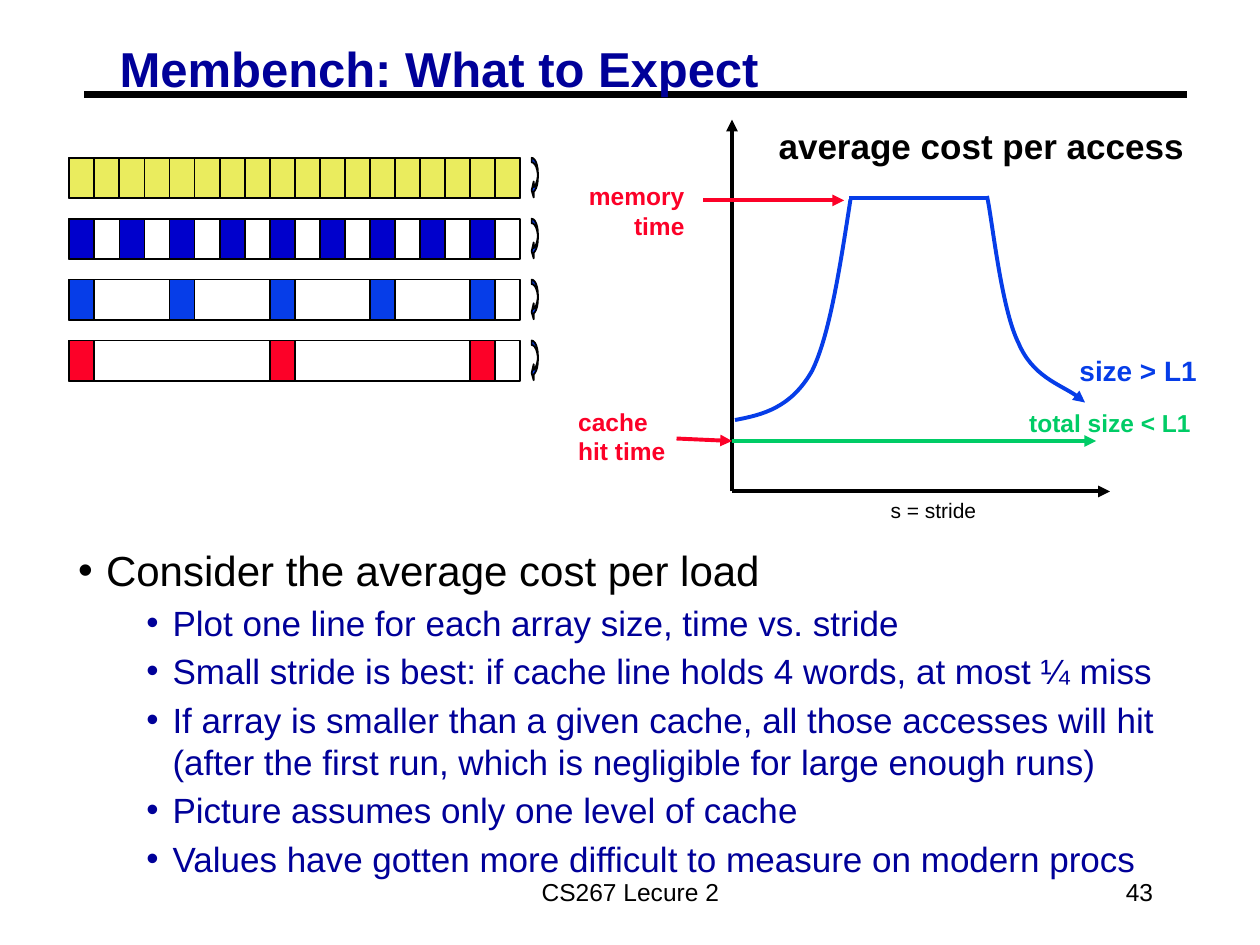
from lxml import etree
from pptx import Presentation
from pptx import util as u
from pptx.dml.color import RGBColor
from pptx.enum import shapes, text
from pptx.oxml import ns, xmlchemy

Pt = u.Pt
Kind = shapes.MSO_SHAPE
Align = text.PP_ALIGN


class Theme:
    font = "Arial"
    black, navy, blue = "000000", "000099", "063DE8"
    deep, red, green, yellow = "0000CC", "FC0128", "00CC66", "EAEC5E"
    title, head, body, size, label, axis = 28, 24, 20, 16, 14, 12
    thin, line, rule = 1, 2.25, 3.75


POINTS = [
    "Plot one line for each array size, time vs. stride",
    "Small stride is best: if cache line holds 4 words, at most ¼ miss",
    "If array is smaller than a given cache, all those accesses will hit "
    "(after the first run, which is negligible for large enough runs)",
    "Picture assumes only one level of cache",
    "Values have gotten more difficult to measure on modern procs",
]


def rgb(hue):
    return RGBColor.from_string(hue)


def node(tag, **attrs):
    item = xmlchemy.OxmlElement(tag)
    for key, value in attrs.items():
        item.set(key, str(value))
    return item


def add_run(para, words, size, hue, bold=False):
    run = para.add_run()
    run.text = words
    font = run.font
    font.name, font.size, font.bold = Theme.font, Pt(size), bold
    font.color.rgb = rgb(hue)


def add_box(slide, place, pad=(7.2, 3.6), wrap=True):
    frame = slide.shapes.add_textbox(*map(Pt, place)).text_frame
    frame.word_wrap = wrap
    frame.margin_left = frame.margin_right = Pt(pad[0])
    frame.margin_top = frame.margin_bottom = Pt(pad[1])
    return frame


def add_label(slide, lines, place, size, hue, bold=True, align=Align.LEFT,
              wrap=False, middle=False):
    frame = add_box(slide, place, wrap=wrap)
    if middle:
        frame.vertical_anchor = text.MSO_ANCHOR.MIDDLE
    for i, words in enumerate(lines):
        para = frame.paragraphs[0] if i == 0 else frame.add_paragraph()
        para.alignment = align
        add_run(para, words, size, hue, bold)


def add_point(frame, words, size, hue, left, hang, gap, level=0):
    para = frame.add_paragraph() if gap else frame.paragraphs[0]
    para.level = level
    props = para._p.get_or_add_pPr()
    props.set("marL", str(Pt(left)))
    props.set("indent", str(Pt(-hang)))
    tint = node("a:buClr")
    tint.append(node("a:srgbClr", val=hue))
    props.append(tint)
    props.append(node("a:buFont", typeface=Theme.font))
    props.append(node("a:buChar", char="•"))
    para.space_before = Pt(gap)
    add_run(para, words, size, hue)


def style_line(shape, hue, width, arrow=False):
    shape.line.color.rgb = rgb(hue)
    shape.line.width = Pt(width)
    if arrow:
        shape.line._get_or_add_ln().append(node("a:tailEnd", type="triangle"))


def add_line(slide, start, end, hue, width=Theme.line, arrow=True):
    wire = slide.shapes.add_connector(
        shapes.MSO_CONNECTOR.STRAIGHT, *map(Pt, start + end))
    style_line(wire, hue, width, arrow)
    wire._element.spPr.append(node("a:effectLst"))


def add_shape(slide, kind, place, fill=None):
    shape = slide.shapes.add_shape(kind, *map(Pt, place))
    shape.shadow.inherit = False
    if fill:
        shape.fill.solid()
        shape.fill.fore_color.rgb = rgb(fill)
    else:
        shape.fill.background()
    style_line(shape, Theme.black, Theme.thin)
    return shape


def add_curve(slide, start, knots, arrow=False):
    """Draw cubic curves; knots holds two controls and an end for each."""
    maker = slide.shapes.build_freeform(*start, scale=Pt(1))
    maker.add_line_segments(knots, close=False)
    shape = maker.convert_to_shape()
    shape.shadow.inherit = False
    shape.fill.background()
    style_line(shape, Theme.blue, Theme.line, arrow)
    # Turn each three straight steps into one cubic step
    steps = list(shape._element.iter(ns.qn("a:lnTo")))
    for i in range(0, len(steps), 3):
        cubic = node("a:cubicBezTo")
        steps[i].addprevious(cubic)
        for step in steps[i:i + 3]:
            cubic.append(step[0])
            step.getparent().remove(step)


def add_strip(slide, top, stride, fill):
    left, cell, tall, count = 39.6, 14.32, 23.2, 18
    add_shape(slide, Kind.RECTANGLE, (left, top, cell * count, tall))
    for i in range(0, count, stride):
        add_shape(slide, Kind.RECTANGLE,
                  (left + i * cell, top, cell, tall), fill)
    hook = add_shape(slide, Kind.CURVED_LEFT_ARROW,
                     (303.8, top, 3.6, tall), Theme.blue)
    for i, value in enumerate((0.72, 2.55, 0.33)):
        hook.adjustments[i] = value


def add_graph(slide):
    # Axes
    base = (418.3, 280.8)
    add_line(slide, base, (418.3, 68.4), Theme.black)
    add_line(slide, base, (634.3, 280.8), Theme.black)
    add_label(slide, ["s = stride"], (501.8, 280.8, 63.4, 21.6),
              Theme.axis, Theme.black, bold=False)
    add_label(slide, ["average cost per access"], (437.8, 67.7, 246.2, 31.7),
              Theme.body, Theme.black)
    # Arrays that fit in the cache
    add_line(slide, (418.3, 252), (626.4, 252), Theme.green)
    add_label(slide, ["total size < L1"], (581, 229.7, 106.6, 24.5),
              Theme.label, Theme.green)
    # Time marks
    add_label(slide, ["cache hit time"], (323.3, 229, 71.3, 41),
              Theme.label, Theme.red, wrap=True)
    add_line(slide, (386.6, 250.6), (418.3, 252), Theme.red)
    add_label(slide, ["memory", "time"], (327.6, 100.1, 70.6, 41),
              Theme.label, Theme.red, align=Align.RIGHT, wrap=True)
    add_line(slide, (401.8, 114.5), (482.4, 114.5), Theme.red)
    # Arrays larger than the cache
    add_line(slide, (485.3, 113.3), (565.2, 113.3), Theme.blue, arrow=False)
    add_curve(slide, (419.8, 239.8),
              [(436.3, 236.9), (452.2, 233.3), (463.7, 212.4),
               (474.5, 191.5), (480.2, 152.6), (486, 113.8)])
    add_curve(slide, (564.5, 111.6),
              [(567.4, 125.3), (572.4, 176.4), (581.8, 195.8),
               (590.4, 215.3), (612, 222.5), (619.9, 229.7)], arrow=True)
    add_label(slide, ["size > L1"], (609.8, 198.7, 81.4, 26.6),
              Theme.size, Theme.blue)


def main():
    deck = Presentation()
    deck.slide_width, deck.slide_height = Pt(720), Pt(540)
    slide = deck.slides.add_slide(deck.slide_layouts[6])

    # Title and rule
    add_line(slide, (48.2, 54), (678.2, 54), Theme.black, Theme.rule, False)
    frame = add_box(slide, (63.4, 24.5, 375.8, 33.1), (5, 2.2), wrap=True)
    frame.paragraphs[0].line_spacing = 0.87
    add_run(frame.paragraphs[0], "Membench: What to Expect",
            Theme.title, Theme.navy, True)

    # Array strips, stride doubling downwards
    hues = (Theme.yellow, Theme.deep, Theme.blue, Theme.red)
    for i, hue in enumerate(hues):
        add_strip(slide, 90.2 + i * 34.8, 2 ** i, hue)

    add_graph(slide)

    # Notes on the graph
    frame = add_box(slide, (39.6, 308.9, 630, 195.8), (5, 2.2))
    add_point(frame, "Consider the average cost per load",
              Theme.head, Theme.black, 16, 16, 0)
    for words in POINTS:
        add_point(frame, words, Theme.body, Theme.navy, 54, 15, 3.7, 1)

    # Footer
    add_label(slide, ["CS267 Lecure 2"], (246.2, 491.8, 228.2, 36),
              Theme.label, Theme.black, False, Align.CENTER, True, True)
    add_label(slide, ["43"], (516.2, 491.8, 149.8, 36),
              Theme.label, Theme.black, False, Align.RIGHT, True, True)

    deck.save("out.pptx")


if __name__ == "__main__":
    main()
